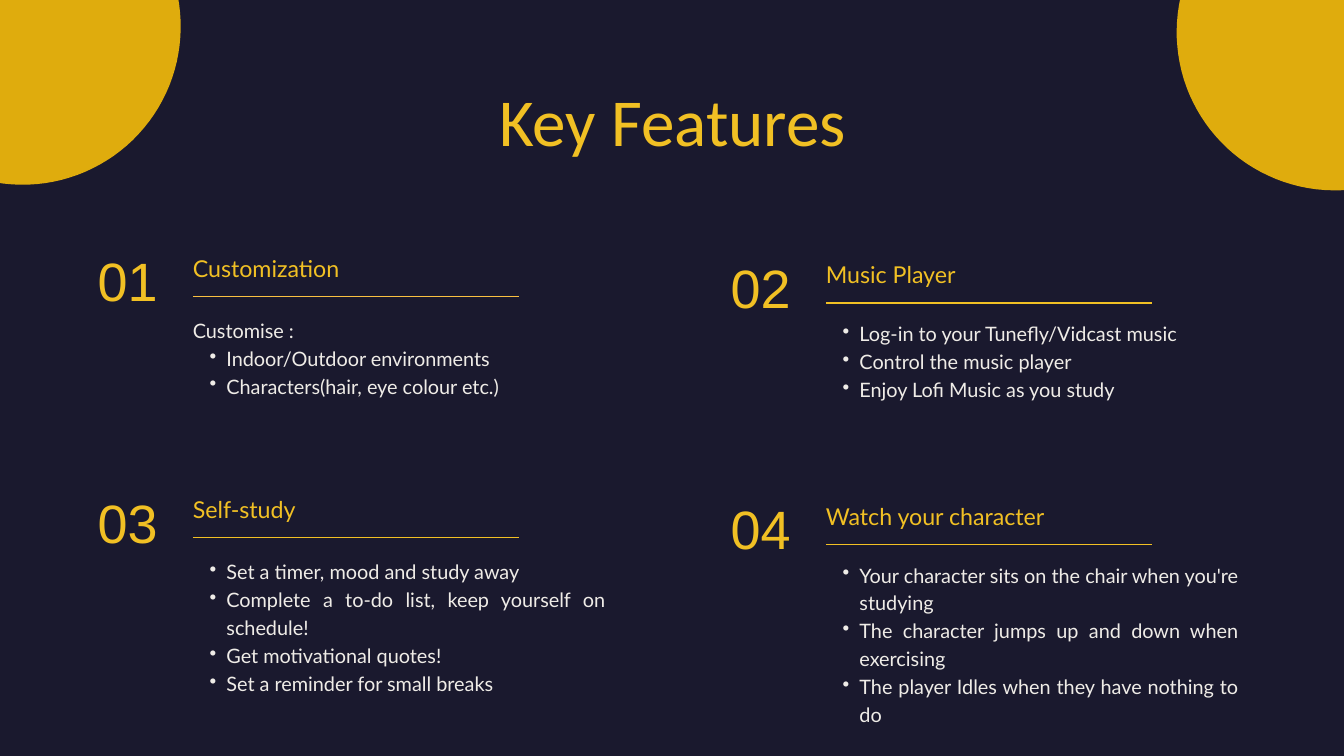
import math

import pptx
import pptx.dml.color
import pptx.enum.shapes
import pptx.enum.text
import pptx.util
from lxml import etree

Inches, Pt = pptx.util.Inches, pptx.util.Pt
Align = pptx.enum.text.PP_ALIGN
RGB = pptx.dml.color.RGBColor.from_string

COLOURS = {
    "background": "1A192E",
    "disc": "DFAC0D",
    "accent": "F1C024",
    "warm": "F9C041",
    "body": "EFECE7",
}
FEATURES = [
    ("01", "Customization", "warm", "Customise :",
     ["Indoor/Outdoor environments", "Characters(hair, eye colour etc.)"]),
    ("02", "Music Player", "accent", None,
     ["Log-in to your Tunefly/Vidcast music", "Control the music player",
      "Enjoy Lofi Music as you study"]),
    ("03", "Self-study", "accent", None,
     ["Set a timer, mood and study away",
      "Complete a to-do list, keep yourself on schedule!",
      "Get motivational quotes!", "Set a reminder for small breaks"]),
    ("04", "Watch your character", "accent", None,
     ["Your character sits on the chair when you're studying",
      "The character jumps up and down when exercising",
      "The player Idles when they have nothing to do"]),
]
BODY_HEIGHTS = [1.2, 1.2, 2.01, 2.42]

deck = pptx.Presentation()
deck.slide_width, deck.slide_height = Inches(20), Inches(11.25)
page = deck.slides.add_slide(deck.slide_layouts[6])
page.background.fill.solid()
page.background.fill.fore_color.rgb = RGB(COLOURS["background"])


def add_frame(left, top, width, height):
    """Add an empty text box without margins and return its text frame."""
    frame = page.shapes.add_textbox(
        Inches(left), Inches(top), Inches(width), Inches(height)).text_frame
    frame.word_wrap = True
    frame.auto_size = pptx.enum.text.MSO_AUTO_SIZE.SHAPE_TO_FIT_TEXT
    frame.margin_left = frame.margin_right = 0
    frame.margin_top = frame.margin_bottom = 0
    return frame


def fill_paragraph(para, text, font, size, spacing, colour, align, bullet=False):
    para.alignment = align
    para.line_spacing = Pt(spacing)
    if bullet:
        para.level = 1
        properties = para._p.get_or_add_pPr()
        properties.set("marL", str(Inches(0.5)))
        properties.set("indent", str(Inches(-0.25)))
        mark = etree.SubElement(properties, pptx.oxml.ns.qn("a:buChar"))
        mark.set("char", "•")
    span = para.add_run()
    span.text = text
    span.font.name = font
    span.font.size = Pt(size)
    span.font.color.rgb = RGB(COLOURS[colour])


# Corner discs: a half circle below a flat strip, turned towards the slide
radius, depth, steps = 2.355, 3, 60
arc = [(radius + radius * math.cos(math.pi * step / steps),
        depth - radius + radius * math.sin(math.pi * step / steps))
       for step in range(steps + 1)]
for left, top, angle in [(-1.31, -0.63, 303.8), (16.81, -0.53, 54.9)]:
    builder = page.shapes.build_freeform(0, 0, scale=Inches(1) / 1000)
    builder.add_line_segments(
        [(round(x * 1000), round(y * 1000)) for x, y in [(2 * radius, 0)] + arc])
    disc = builder.convert_to_shape(Inches(left), Inches(top))
    disc.rotation = angle
    disc.shadow.inherit = False
    disc.fill.solid()
    disc.fill.fore_color.rgb = RGB(COLOURS["disc"])
    disc.line.fill.background()

title = add_frame(4.18, 0.98, 11.66, 1.34)
fill_paragraph(title.paragraphs[0], "Key Features", "Calibri", 71.9, 100.7,
               "accent", Align.CENTER)

# Two by two grid; the right column sits slightly lower
for index, (number, heading, rule_colour, intro, points) in enumerate(FEATURES):
    row, column = divmod(index, 2)
    left = 2.87 + 9.42 * column
    top = 3.53 + 3.59 * row + 0.1 * column

    rule = page.shapes.add_connector(
        pptx.enum.shapes.MSO_CONNECTOR.STRAIGHT,
        Inches(left), Inches(top + 0.88), Inches(left + 4.85), Inches(top + 0.88))
    rule.line.color.rgb = RGB(COLOURS[rule_colour])
    rule.line.width = Pt(1.5)
    etree.SubElement(rule._element.spPr, pptx.oxml.ns.qn("a:effectLst"))

    number_frame = add_frame(left - 1.73, top, 1.52, 1.08)
    fill_paragraph(number_frame.paragraphs[0], number, "Arial", 57.8, 80.9,
                   "accent", Align.CENTER)
    heading_frame = add_frame(left, top + 0.18, 5.7, 0.46)
    fill_paragraph(heading_frame.paragraphs[0], heading, "Lato", 24.9, 34.8,
                   "accent", Align.LEFT)

    body = add_frame(left, top + 1.15 - 0.05 * column, 6.14, BODY_HEIGHTS[index])
    lines = [(intro, False)] if intro else []
    lines += [(point, True) for point in points]
    for position, (text, bullet) in enumerate(lines):
        para = body.add_paragraph() if position else body.paragraphs[0]
        fill_paragraph(para, text, "Lato", 21.3, 29.9, "body", Align.JUSTIFY, bullet)

deck.save("out.pptx")
